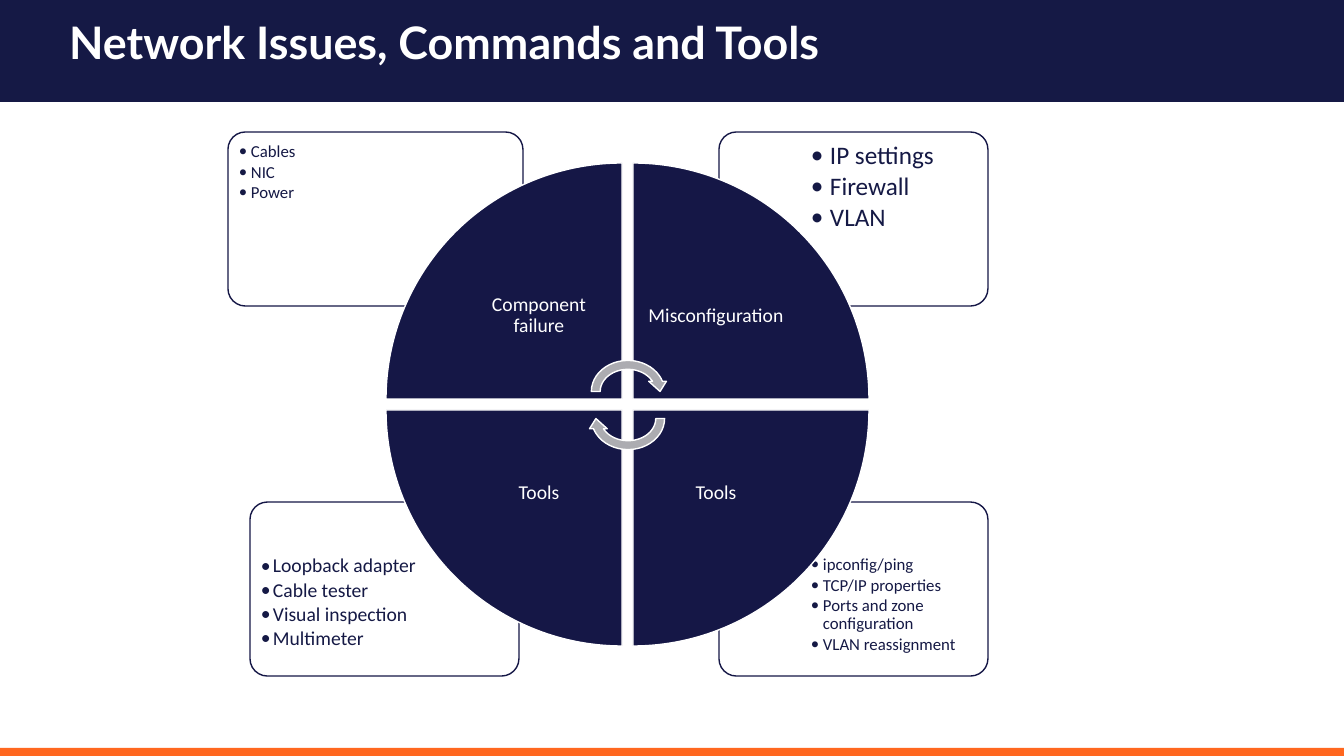
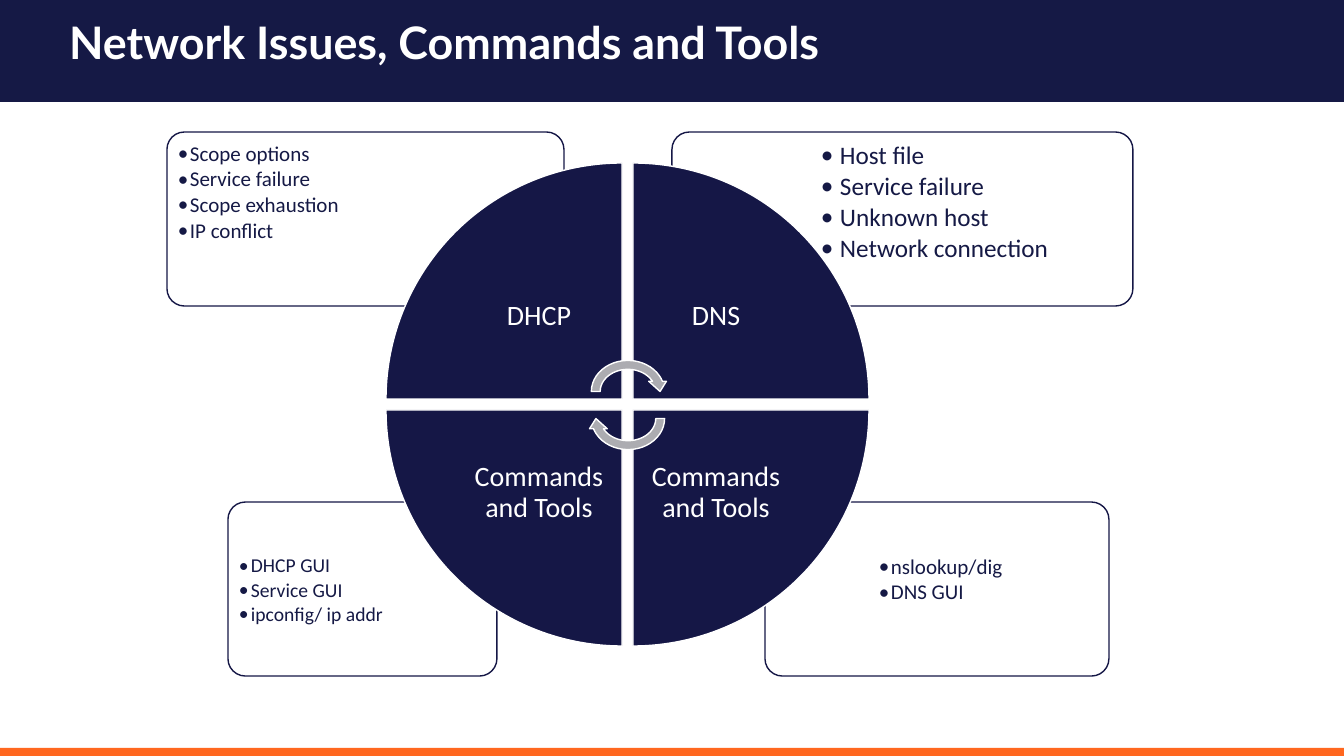
import dataclasses

import pptx
import pptx.dml.color
import pptx.enum.shapes
import pptx.enum.text
import pptx.oxml.ns
import pptx.shapes.autoshape
import pptx.slide
import pptx.util
from lxml import etree

# Shared geometry, in px
SLIDE_W, SLIDE_H = 1344, 756
EMU_PER_PX = 12192000 / SLIDE_W
CARD_TOPS, CARD_H = (132, 502), 174
CARD_MARGIN, LIST_H = 4, 123
WHEEL_X, WHEEL_Y, WEDGE, WEDGE_GAP = 386, 163, 236, 11
WEDGE_LABEL = 166

# Shared colours and fonts
NAVY, WEDGE_NAVY, ORANGE = "151945", "151746", "FF671F"
GREY, WHITE = "ACACB1", "FFFFFF"
TITLE_FONT, BODY_FONT = "Lato", "Calibri"

SHAPES = pptx.enum.shapes.MSO_SHAPE
ANCHOR = pptx.enum.text.MSO_ANCHOR
ALIGN = pptx.enum.text.PP_ALIGN


@dataclasses.dataclass(frozen=True)
class Box:
    x: int
    y: int
    w: int
    h: int


@dataclasses.dataclass(frozen=True)
class Quadrant:
    """One wedge of the wheel with the card of points behind it."""
    col: int
    row: int
    rotation: int
    label: str
    card_x: int
    card_w: int
    points: tuple[str, ...]
    point_size: int


@dataclasses.dataclass(frozen=True)
class Wheel:
    title: str
    label_size: int
    quadrants: tuple[Quadrant, ...]


WHEELS = (
    Wheel("Network Issues, Commands and Tools", 14, (
        Quadrant(0, 0, 0, "Component failure", 228, 295,
                 ("Cables", "NIC", "Power"), 12),
        Quadrant(1, 0, 90, "Misconfiguration", 719, 269,
                 ("IP settings", "Firewall", "VLAN"), 18),
        Quadrant(1, 1, 180, "Tools", 719, 269,
                 ("ipconfig/ping", "TCP/IP properties",
                  "Ports and zone configuration", "VLAN reassignment"), 12),
        Quadrant(0, 1, 270, "Tools", 250, 269,
                 ("Loopback adapter", "Cable tester", "Visual inspection",
                  "Multimeter"), 14),
    )),
    Wheel("Network Issues, Commands and Tools", 20, (
        Quadrant(0, 0, 0, "DHCP", 167, 397,
                 ("Scope options", "Service failure", "Scope exhaustion",
                  "IP conflict"), 15),
        Quadrant(1, 0, 90, "DNS", 672, 461,
                 ("Host file", "Service failure", "Unknown host",
                  "Network connection"), 18),
        Quadrant(1, 1, 180, "Commands and Tools", 765, 344,
                 ("nslookup/dig", "DNS GUI"), 15),
        Quadrant(0, 1, 270, "Commands and Tools", 228, 269,
                 ("DHCP GUI", "Service GUI", "ipconfig/ ip addr"), 14),
    )),
)


# Basic helpers
def px(length: float) -> pptx.util.Emu:
    return pptx.util.Emu(round(length * EMU_PER_PX))


def colour(hex_code: str) -> pptx.dml.color.RGBColor:
    return pptx.dml.color.RGBColor.from_string(hex_code)


def place(box: Box) -> tuple[pptx.util.Emu, ...]:
    return px(box.x), px(box.y), px(box.w), px(box.h)


def add_figure(slide: pptx.slide.Slide, kind: SHAPES, box: Box, fill: str,
               outline: str | None = None,
               rotation: int = 0) -> pptx.shapes.autoshape.Shape:
    figure = slide.shapes.add_shape(kind, *place(box))
    figure.shadow.inherit = False
    figure.rotation = rotation
    figure.fill.solid()
    figure.fill.fore_color.rgb = colour(fill)
    if outline:
        figure.line.color.rgb = colour(outline)
        figure.line.width = pptx.util.Pt(1)
    else:
        figure.line.fill.background()
    return figure


def style_paragraph(paragraph, size: int, font: str, hex_code: str,
                    bold: bool = False) -> None:
    paragraph.line_spacing = 0.9
    for run in paragraph.runs:
        run.font.size = pptx.util.Pt(size)
        run.font.name = font
        run.font.bold = bold
        run.font.color.rgb = colour(hex_code)


def add_text(slide: pptx.slide.Slide, box: Box, text: str, size: int,
             hex_code: str, inset: int):
    frame = slide.shapes.add_textbox(*place(box)).text_frame
    frame.word_wrap = True
    frame.margin_left = frame.margin_right = px(inset)
    frame.margin_top = frame.margin_bottom = px(inset)
    frame.text = text
    for paragraph in frame.paragraphs:
        style_paragraph(paragraph, size, BODY_FONT, hex_code)
    return frame


def add_bullet(paragraph, indent: int) -> None:
    properties = paragraph._p.get_or_add_pPr()
    properties.set("marL", str(px(indent)))
    properties.set("indent", str(-px(indent)))
    etree.SubElement(properties, pptx.oxml.ns.qn("a:buFont"),
                     typeface=BODY_FONT)
    etree.SubElement(properties, pptx.oxml.ns.qn("a:buChar"), char="•")


# Parts of the wheel slides
def add_card(slide: pptx.slide.Slide, quadrant: Quadrant) -> None:
    top = CARD_TOPS[quadrant.row]
    card = add_figure(slide, SHAPES.ROUNDED_RECTANGLE,
                      Box(quadrant.card_x, top, quadrant.card_w, CARD_H),
                      WHITE, WEDGE_NAVY)
    card.adjustments[0] = 0.1

    # The points take 70% of the card, on the side away from the wheel
    list_x = quadrant.card_x + CARD_MARGIN
    list_x += round(0.3 * quadrant.card_w) * quadrant.col
    list_w = round(0.7 * quadrant.card_w) - 2 * CARD_MARGIN
    list_y = top + CARD_MARGIN
    if quadrant.row:
        list_y = top + CARD_H - CARD_MARGIN - LIST_H
    size = quadrant.point_size
    points = add_text(slide, Box(list_x, list_y, list_w, LIST_H),
                      "\n".join(quadrant.points), size, NAVY, inset=7)
    for point in points.paragraphs:
        point.level = 1
        point.space_after = pptx.util.Pt(0.15 * size)
        add_bullet(point, 19 if size >= 18 else 12)


def add_wedge(slide: pptx.slide.Slide, quadrant: Quadrant) -> None:
    step = WEDGE + WEDGE_GAP
    box = Box(WHEEL_X + quadrant.col * step, WHEEL_Y + quadrant.row * step,
              WEDGE, WEDGE)
    add_figure(slide, SHAPES.PIE_WEDGE, box, WEDGE_NAVY, WHITE,
               quadrant.rotation)


def add_wedge_label(slide: pptx.slide.Slide, quadrant: Quadrant,
                    size: int) -> None:
    # Labels sit in the wedge corner nearest the hub
    offsets = (WEDGE - WEDGE_LABEL, WEDGE + WEDGE_GAP)
    box = Box(WHEEL_X + offsets[quadrant.col], WHEEL_Y + offsets[quadrant.row],
              WEDGE_LABEL, WEDGE_LABEL)
    label = add_text(slide, box, quadrant.label, size, WHITE,
                     inset=round(0.8 * size))
    label.vertical_anchor = ANCHOR.MIDDLE
    label.paragraphs[0].alignment = ALIGN.CENTER


def set_title(slide: pptx.slide.Slide, text: str) -> None:
    frame = slide.shapes.title.text_frame
    frame.text = text
    frame.auto_size = pptx.enum.text.MSO_AUTO_SIZE.NONE
    frame.vertical_anchor = ANCHOR.MIDDLE
    frame.paragraphs[0].alignment = ALIGN.LEFT
    style_paragraph(frame.paragraphs[0], 32, TITLE_FONT, WHITE, bold=True)


def add_wheel(slide: pptx.slide.Slide, wheel: Wheel) -> None:
    set_title(slide, wheel.title)
    for quadrant in wheel.quadrants:
        add_card(slide, quadrant)
    for quadrant in wheel.quadrants:
        add_wedge(slide, quadrant)
        add_wedge_label(slide, quadrant, wheel.label_size)
    for arrow_y, rotation in ((356, 0), (383, 180)):
        add_figure(slide, SHAPES.CIRCULAR_ARROW, Box(587, arrow_y, 82, 71),
                   GREY, WHITE, rotation)


# Layout: title position and the two bands, shared by all slides
def prepare_layout(layout: pptx.slide.SlideLayout,
                   slide: pptx.slide.Slide) -> None:
    for placeholder in list(layout.placeholders):
        if placeholder.placeholder_format.idx:
            layout.shapes.element.remove(placeholder.element)
        else:
            (placeholder.left, placeholder.top, placeholder.width,
             placeholder.height) = place(Box(59, -13, 1285, 115))
    bands = [
        add_figure(slide, SHAPES.RECTANGLE, Box(-8, -8, 1361, 110), NAVY),
        add_figure(slide, SHAPES.RECTANGLE, Box(0, 748, SLIDE_W, 8), ORANGE),
    ]
    for band in bands:
        layout.shapes.element.insert(2, band.element)


def main() -> None:
    deck = pptx.Presentation()
    deck.slide_width, deck.slide_height = px(SLIDE_W), px(SLIDE_H)
    layout = deck.slide_layouts[5]
    slides = [deck.slides.add_slide(layout) for _ in WHEELS]
    prepare_layout(layout, slides[0])
    for slide, wheel in zip(slides, WHEELS):
        add_wheel(slide, wheel)
    deck.save("out.pptx")


if __name__ == "__main__":
    main()
